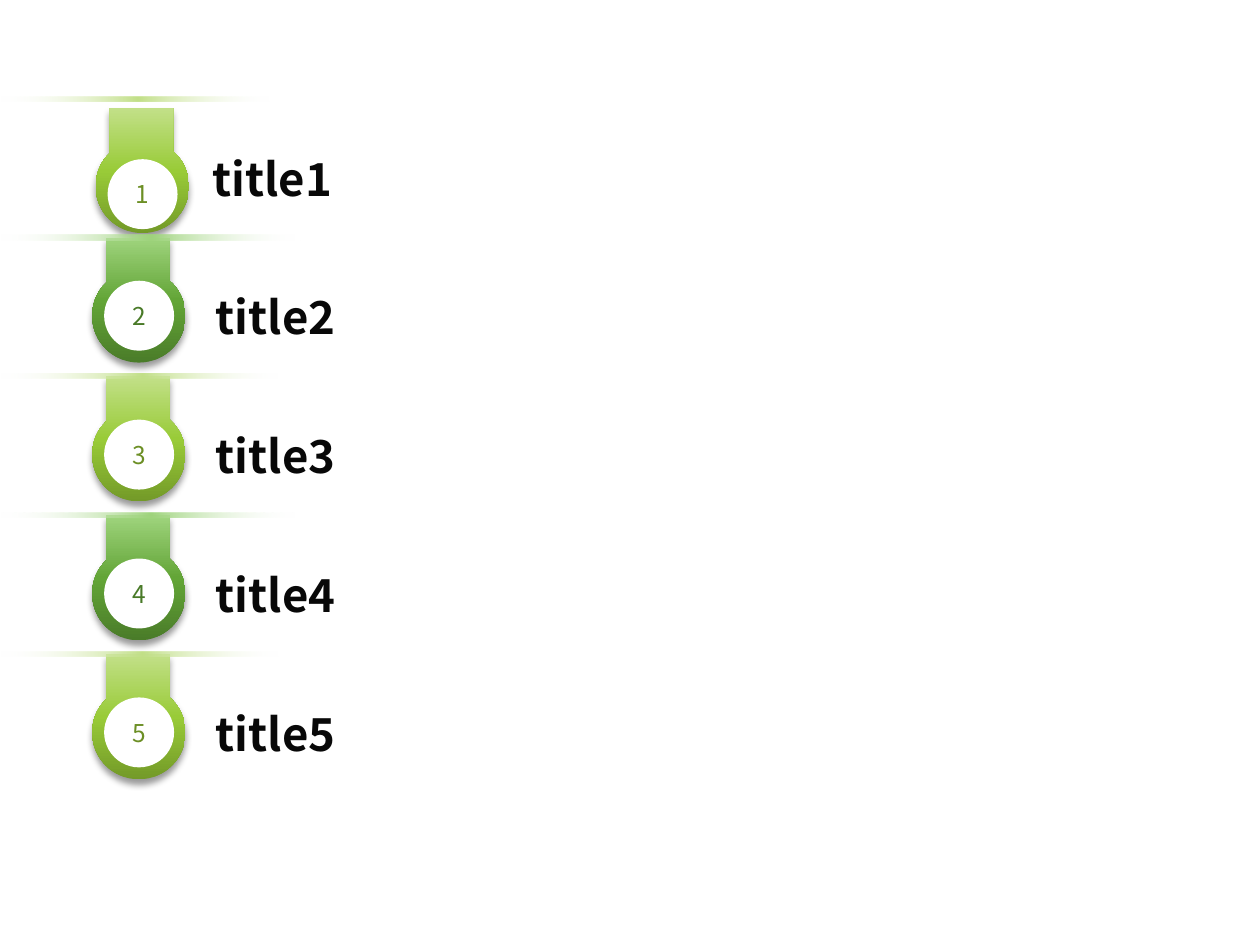
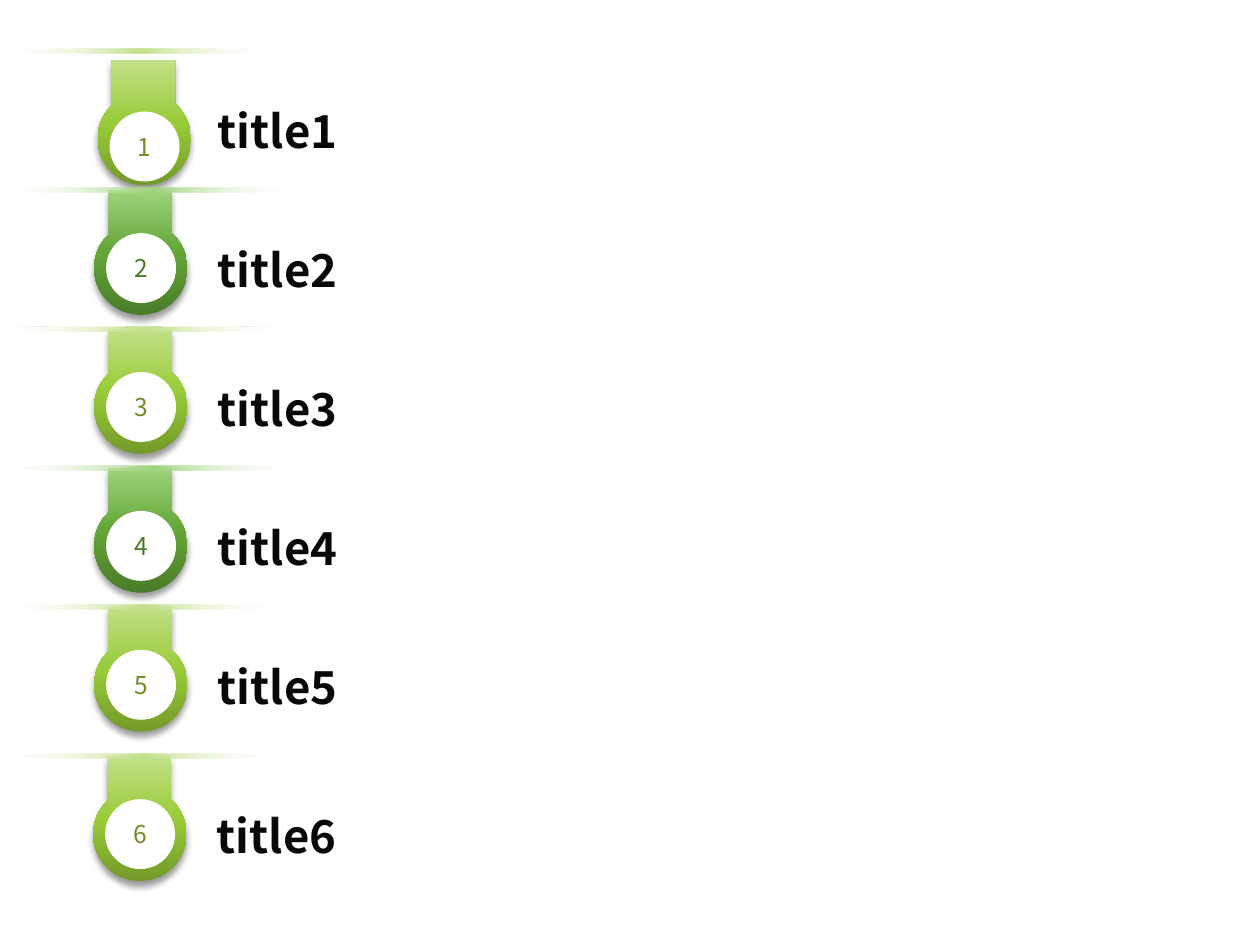
from lxml.etree import SubElement
from pptx import Presentation
from pptx.dml.color import RGBColor
from pptx.enum.shapes import MSO_SHAPE
from pptx.enum.text import MSO_ANCHOR, PP_ALIGN
from pptx.oxml.ns import qn
from pptx.util import Cm, Pt

FONT = "Noto Sans CJK SC"
COLORS = {"white": "FFFFFF", "ink": "080808", "black": "000000"}
LIGHT = {"deep": "739A28", "mid": "99CB38", "pale": "C2E088", "digit": "6C8F25", "bar": 5.69}
DARK = {"deep": "4A7C29", "mid": "63A537", "pale": "9FD47D", "digit": "497A28", "bar": 6.02}

# Lengths in cm
PITCH = 2.8
DISC = 1.41

# Tag outline: the neck's corners, then curves as (control, control, end)
NECK = [(0.28, 0), (1.56, 0), (1.56, 0.87)]
CURVES = [
    [(1.75, 1.03), (1.88, 1.29), (1.88, 1.58)],
    [(1.88, 2.1), (1.46, 2.52), (0.94, 2.52)],
    [(0.42, 2.52), (0, 2.1), (0, 1.58)],
    [(0, 1.31), (0.1, 1.08), (0.28, 0.91)],
]


def add_color(parent, color, alpha=100):
    node = SubElement(parent, qn("a:srgbClr"), val=color)
    if alpha < 100:
        SubElement(node, qn("a:alpha"), val=str(alpha * 1000))


def set_grad(shape, stops, angle):
    """Fill with (position, colour, opacity) stops, all in percent."""
    shape.fill.background()
    shape.line.fill.background()
    shape.shadow.inherit = False
    props = shape.element.spPr
    grad = SubElement(props, qn("a:gradFill"), rotWithShape="1")
    props.replace(props.find(qn("a:noFill")), grad)
    group = SubElement(grad, qn("a:gsLst"))
    for place, color, alpha in stops:
        add_color(SubElement(group, qn("a:gs"), pos=str(place * 1000)), color, alpha)
    SubElement(grad, qn("a:lin"), ang=str(angle * 60000), scaled="0")


def add_shade(shape):
    effects = shape.element.spPr.find(qn("a:effectLst"))
    shade = SubElement(effects, qn("a:outerShdw"), blurRad=str(Pt(4)), dist=str(Pt(3)),
                       dir="5400000", algn="t", rotWithShape="0")
    add_color(shade, COLORS["black"], 40)


def write(shape, text, size=14, color=COLORS["ink"], bold=False, align=PP_ALIGN.LEFT,
          inset=None):
    frame = shape.text_frame
    frame.word_wrap = True
    frame.vertical_anchor = MSO_ANCHOR.MIDDLE
    if inset is not None:
        frame.margin_left = frame.margin_right = inset
        frame.margin_top = frame.margin_bottom = inset
    para = frame.paragraphs[0]
    para.alignment = align
    run = para.add_run()
    run.text = text
    run.font.name, run.font.size, run.font.bold = FONT, Pt(size), bold
    run.font.color.rgb = RGBColor.from_string(color)


def add_tag(slide, left, top, tint):
    """A straight neck that runs into a round end."""
    points = [(Cm(left + x), Cm(top + y)) for x, y in NECK + [c[-1] for c in CURVES]]
    path = slide.shapes.build_freeform(*points[0])
    path.add_line_segments(points[1:], close=True)
    tag = path.convert_to_shape()
    # Bend the sides after the neck
    sides = list(tag.element.spPr.iter(qn("a:lnTo")))[len(NECK) - 1:]
    for side, curve in zip(sides, CURVES):
        outline = side.getparent()
        bend = SubElement(outline, qn("a:cubicBezTo"))
        outline.replace(side, bend)
        for x, y in curve:
            SubElement(bend, qn("a:pt"), x=str(Cm(x)), y=str(Cm(y)))
    set_grad(tag, [(0, tint["deep"], 100), (50, tint["mid"], 100), (100, tint["pale"], 100)], 270)
    add_shade(tag)


def add_disc(slide, left, top, text, tint):
    disc = slide.shapes.add_shape(MSO_SHAPE.OVAL, Cm(left), Cm(top), Cm(DISC), Cm(DISC))
    disc.shadow.inherit = False
    disc.fill.solid()
    disc.fill.fore_color.rgb = RGBColor.from_string(COLORS["white"])
    disc.line.fill.background()
    write(disc, text, color=tint["digit"], align=PP_ALIGN.CENTER, inset=0)


def add_bar(slide, left, top, width, tint):
    bar = slide.shapes.add_shape(MSO_SHAPE.RECTANGLE, Cm(left), Cm(top), Cm(width), Cm(0.1))
    set_grad(bar, [(2, COLORS["white"], 0), (50, tint["pale"], 100),
                   (100, COLORS["white"], 0)], 180)


def add_row(slide, left, top, num):
    first = num == 1
    tint = DARK if num in (2, 4) else LIGHT
    # The first tag hangs lower and a little to the right
    tag_x = left + (0.07 if first else 0)
    add_tag(slide, tag_x, top + (0.24 if first else 0.05), tint)
    add_disc(slide, tag_x + 0.24, top + (1.27 if first else 0.92), str(num), tint)
    label = slide.shapes.add_textbox(Cm(left + 2.24), Cm(top + 0.97), Cm(20.75), Cm(1.35))
    write(label, f"title{num}", size=26, bold=True)
    add_bar(slide, left - 1.83, top, 5.51 if first else tint["bar"], tint)
    return label


def add_list(deck, left, top, count):
    slide = deck.slides.add_slide(deck.slide_layouts[6])
    labels = [add_row(slide, left, top + i * PITCH, i + 1) for i in range(count)]
    return slide, labels


def main():
    deck = Presentation()
    deck.slide_width, deck.slide_height = Cm(25.4), Cm(19.05)

    # Five entries, the first label slightly outdented
    _, labels = add_list(deck, 1.86, 1.94, 5)
    labels[0].left -= Cm(0.07)

    # Six entries, the last one set apart
    slide, _ = add_list(deck, 1.9, 0.98, 5)
    add_row(slide, 1.88, 15.19, 6)

    deck.save("out.pptx")


if __name__ == "__main__":
    main()
